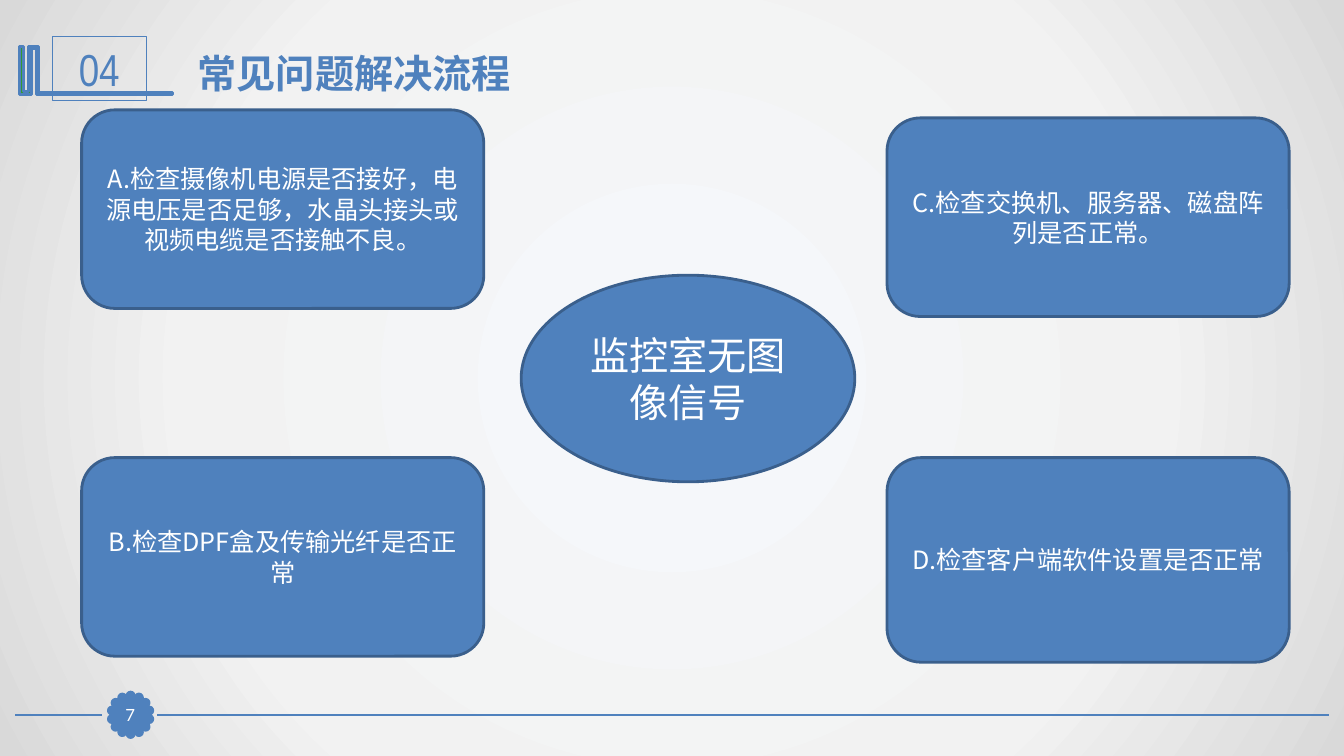
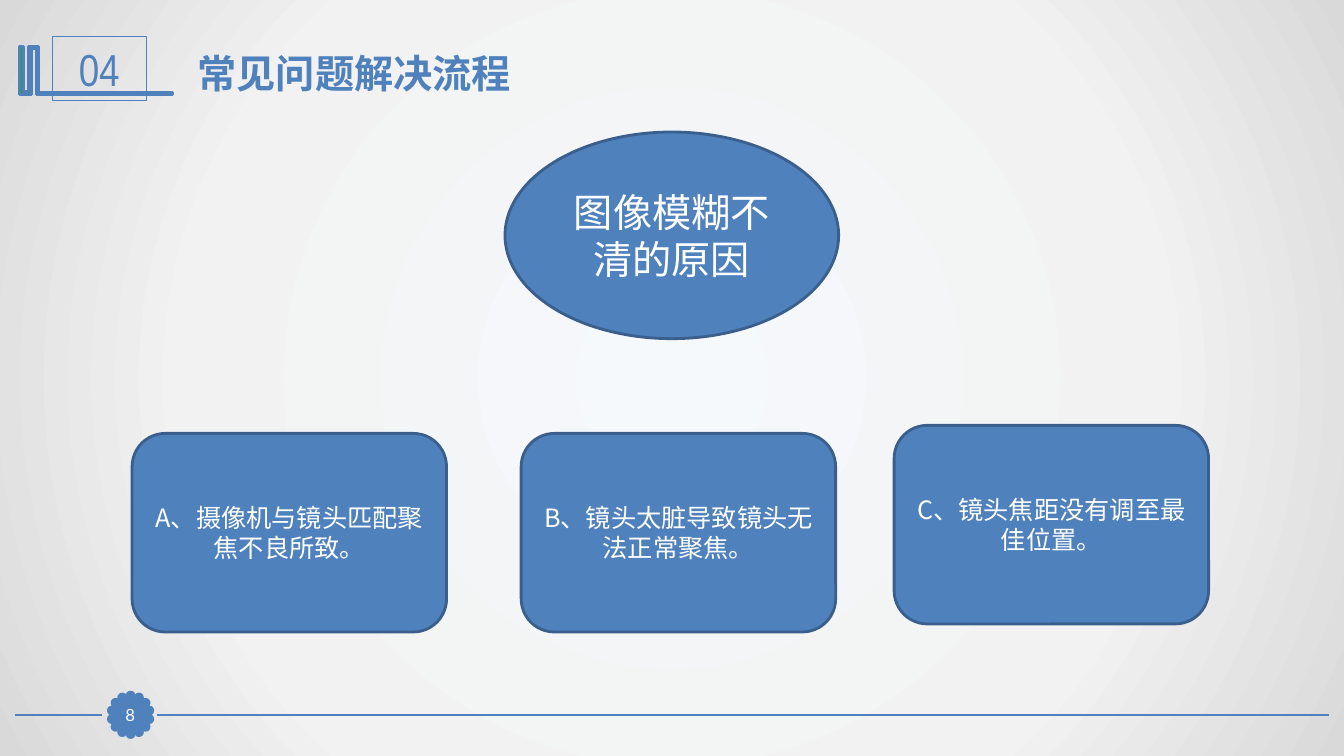
from math import cos, pi, sin

from pptx import Presentation
from pptx.dml.color import RGBColor
from pptx.enum.lang import MSO_LANGUAGE_ID
from pptx.enum.shapes import MSO_CONNECTOR, MSO_SHAPE
from pptx.enum.text import MSO_ANCHOR, MSO_AUTO_SIZE, PP_ALIGN
from pptx.oxml import parse_xml
from pptx.oxml.ns import nsdecls, qn
from pptx.util import Inches, Pt

OVAL, RECT = MSO_SHAPE.OVAL, MSO_SHAPE.RECTANGLE
ROUND, LINE = MSO_SHAPE.ROUNDED_RECTANGLE, MSO_CONNECTOR.STRAIGHT
LEFT, CENTER = PP_ALIGN.LEFT, PP_ALIGN.CENTER
MIDDLE, FIXED = MSO_ANCHOR.MIDDLE, MSO_AUTO_SIZE.NONE
CHINESE = MSO_LANGUAGE_ID.SIMPLIFIED_CHINESE

COLORS = {"blue": "4F81BD", "edge": "3A5F8C", "green": "339933",
          "white": "FFFFFF", "core": "F6F9FC", "mid": "F2F2F2",
          "rim": "D9D9D9"}
BODY, HEAD, THIN = "Noto Sans CJK SC", "Lato", "Arial Narrow"
COLS, ROWS = 160, 90
WIDTH, HEIGHT = Inches(13.33), Inches(7.5)
PETALS = 14
TOPIC = (39.72, 24.6)
MARK = [(18, 0), (19, 0), (19, 46), (152, 46), (152, 48), (17, 48),
        (17, 2), (12, 2), (12, 48), (0, 48), (0, 0), (4, 0), (4, 45),
        (9, 45), (9, 0)]

PAGES = [
    {"page": "7", "topic": (62.04, 32.76, "监控室无图像信号"), "width": 47.88,
     "cards": [
         (9.72, 13.08, 23.64,
          "A.检查摄像机电源是否接好，电源电压是否足够，水晶头接头或视频电缆是否接触不良。"),
         (9.72, 54.48, 23.64, "B.检查DPF盒及传输光纤是否正常"),
         (105.6, 14.04, 23.64, "C.检查交换机、服务器、磁盘阵列是否正常。"),
         (105.6, 54.48, 24.36, "D.检查客户端软件设置是否正常")]},
    {"page": "8", "topic": (60.12, 15.72, "图像模糊不清的原因"), "width": 37.44,
     "cards": [
         (15.72, 51.6, 23.64, "A、摄像机与镜头匹配聚焦不良所致。"),
         (62.04, 51.6, 23.64, "B、镜头太脏导致镜头无法正常聚焦。"),
         (106.44, 50.64, 23.64, "C、镜头焦距没有调至最佳位置。")]},
]


def rgb(name):
    """Return the named colour."""
    return RGBColor.from_string(COLORS[name])


def grid(x, y, *size):
    """Turn columns and rows into slide lengths."""
    cells = (x, y, *size)
    units = (WIDTH / COLS, HEIGHT / ROWS) * 2
    return [round(cell * unit) for cell, unit in zip(cells, units)]


def paint(shape, fill="blue", edge="blue", width=2):
    """Set the fill and outline of a shape and drop its shadow."""
    shape.shadow.inherit = False
    if fill:
        shape.fill.solid()
        shape.fill.fore_color.rgb = rgb(fill)
    else:
        shape.fill.background()
    shape.line.color.rgb = rgb(edge)
    shape.line.width = Pt(width)
    return shape


def draw(slide, kind, box, **style):
    """Add a painted preset shape in a grid box."""
    return paint(slide.shapes.add_shape(kind, *grid(*box)), **style)


def write(shape, text, size=18, font=BODY, color="white", bold=False,
          align=CENTER, inset=None):
    """Write one formatted paragraph into a shape."""
    frame = shape.text_frame
    frame.word_wrap = True
    frame.auto_size = FIXED
    frame.vertical_anchor = MIDDLE
    if inset is not None:
        frame.margin_left = frame.margin_right = inset
        frame.margin_top = frame.margin_bottom = inset
    para = frame.paragraphs[0]
    para.alignment = align
    run = para.add_run()
    run.text = text
    face = run.font
    face.size, face.bold, face.name = Pt(size), bold, font
    face.color.rgb = rgb(color)
    face.language_id = CHINESE
    east = parse_xml(f'<a:ea {nsdecls("a")} typeface="{font}"/>')
    run.font._element.find(qn("a:latin")).addnext(east)


def rule(slide, left, right, row):
    """Add a horizontal footer line."""
    line = slide.shapes.add_connector(LINE, *grid(left, row), *grid(right, row))
    line.line.color.rgb = rgb("blue")
    line.line.width = Pt(1.25)
    line.element.spPr.append(parse_xml(f'<a:effectLst {nsdecls("a")}/>'))


def foot(slide, box):
    """Draw the footer lines and the ring of petals between them."""
    left, top, width, height = box
    row = top + height / 2
    rule(slide, left, left + 10.4, row)
    rule(slide, left + 16.9, left + width, row)
    dot, reach = 0.84, 2.28
    for step in range(PETALS):
        turn = 2 * pi * step / PETALS
        x = left + 13.75 + reach * sin(turn) - dot / 2
        y = row - reach * cos(turn) - dot / 2
        draw(slide, OVAL, (x, y, dot, dot))


def crest(slide, box):
    """Draw the corner mark and the framed section number."""
    left, top, width, height = box
    unit = grid(width, height)[0] / 152
    path = slide.shapes.build_freeform(*MARK[0], scale=unit)
    path.add_line_segments(MARK[1:], close=True)
    paint(path.convert_to_shape(*grid(left, top)), fill="green")
    plate = draw(slide, RECT, (left + 3.96, top - 1.2, 11.16, 7.68),
                 fill=None, width=0.75)
    write(plate, "04", size=32, font=THIN, color="blue")


def wash(layout):
    """Give the layout its radial background."""
    stops = "".join(
        f'<a:gs pos="{share * 1000}"><a:srgbClr val="{COLORS[name]}"/></a:gs>'
        for share, name in ((0, "core"), (63, "mid"), (100, "rim")))
    layout.element.cSld.insert(0, parse_xml(
        f'<p:bg {nsdecls("p", "a")}><p:bgPr><a:gradFill rotWithShape="1">'
        f'<a:gsLst>{stops}</a:gsLst><a:path path="circle">'
        '<a:fillToRect l="50000" t="50000" r="50000" b="50000"/></a:path>'
        '</a:gradFill><a:effectLst/></p:bgPr></p:bg>'))


def theme(layout, slide):
    """Build the shared parts on a slide and move them to its layout."""
    wash(layout)
    for holder in list(layout.placeholders)[1:]:
        holder.element.getparent().remove(holder.element)
    title = layout.placeholders[0]
    title.left, title.top, title.width, title.height = grid(
        22.32, 5.28, 116.28, 6.84)
    foot(slide, (1.8, 82.1, 156.4, 6))
    crest(slide, (2.28, 5.52, 18.24, 5.76))
    for shape in list(slide.shapes)[1:]:
        layout.shapes.element.append(shape.element)


def fill(slide, box, page, topic, width, cards):
    """Place the title, page number, topic and cards in a box."""
    left, top = box[:2]
    write(slide.shapes.title, "常见问题解决流程", size=28, font=HEAD,
          color="blue", bold=True, align=LEFT)
    badge = draw(slide, RECT, (left + 13.6, top + 83.2, 3.8, 3.8), width=0.75)
    write(badge, page, size=12, font=HEAD, inset=0)
    x, y, text = topic
    oval = draw(slide, OVAL, (left + x, top + y, *TOPIC), edge="edge")
    write(oval, text, size=28)
    for x, y, height, text in cards:
        card = draw(slide, ROUND, (left + x, top + y, width, height),
                    edge="edge")
        write(card, text)


def main():
    """Build and save the slides."""
    deck = Presentation()
    deck.slide_width, deck.slide_height = WIDTH, HEIGHT
    layout = deck.slide_layouts[5]
    slides = [deck.slides.add_slide(layout) for _ in PAGES]
    theme(layout, slides[0])
    for slide, parts in zip(slides, PAGES):
        fill(slide, (0, 0, COLS, ROWS), **parts)
    deck.save("out.pptx")


if __name__ == "__main__":
    main()
